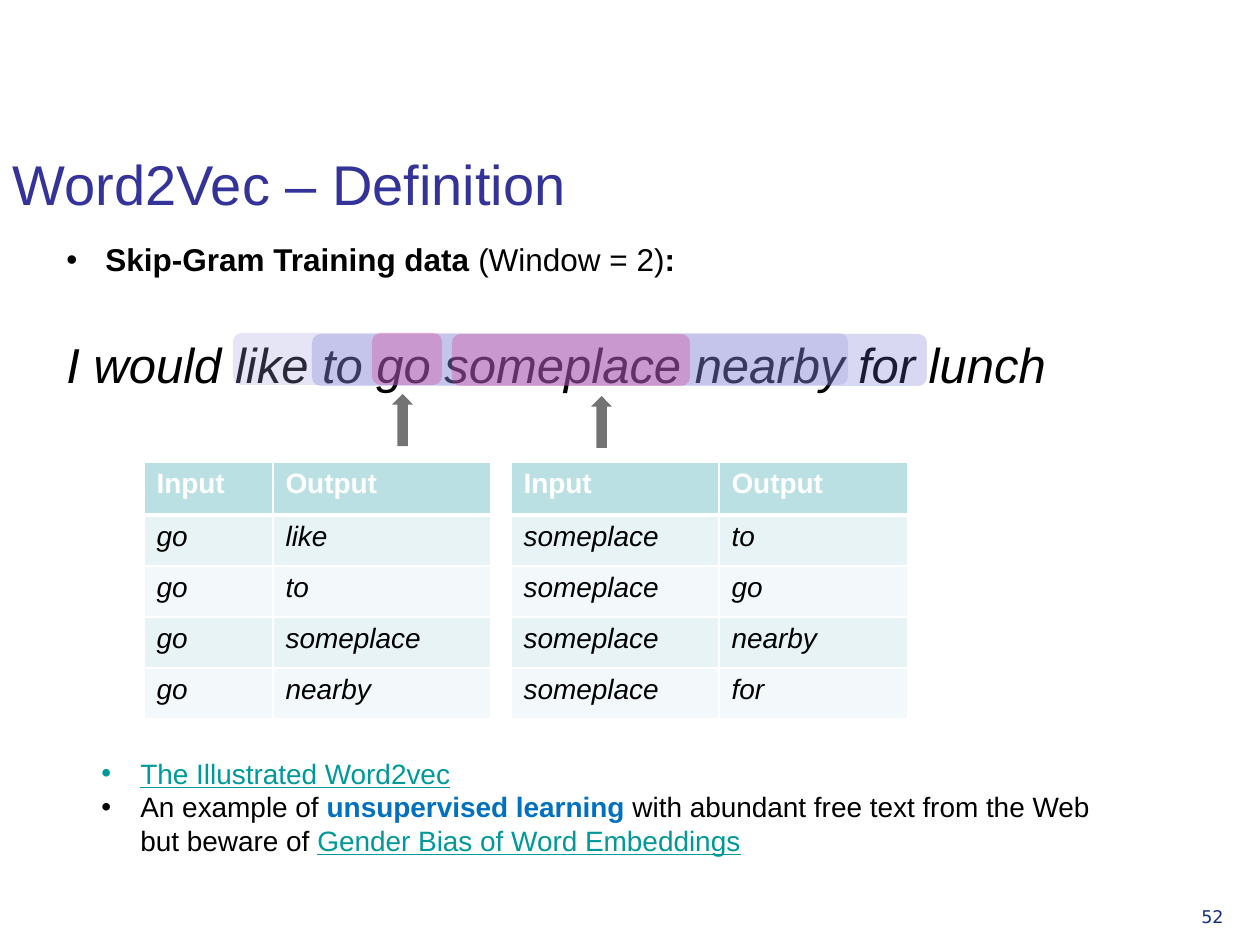
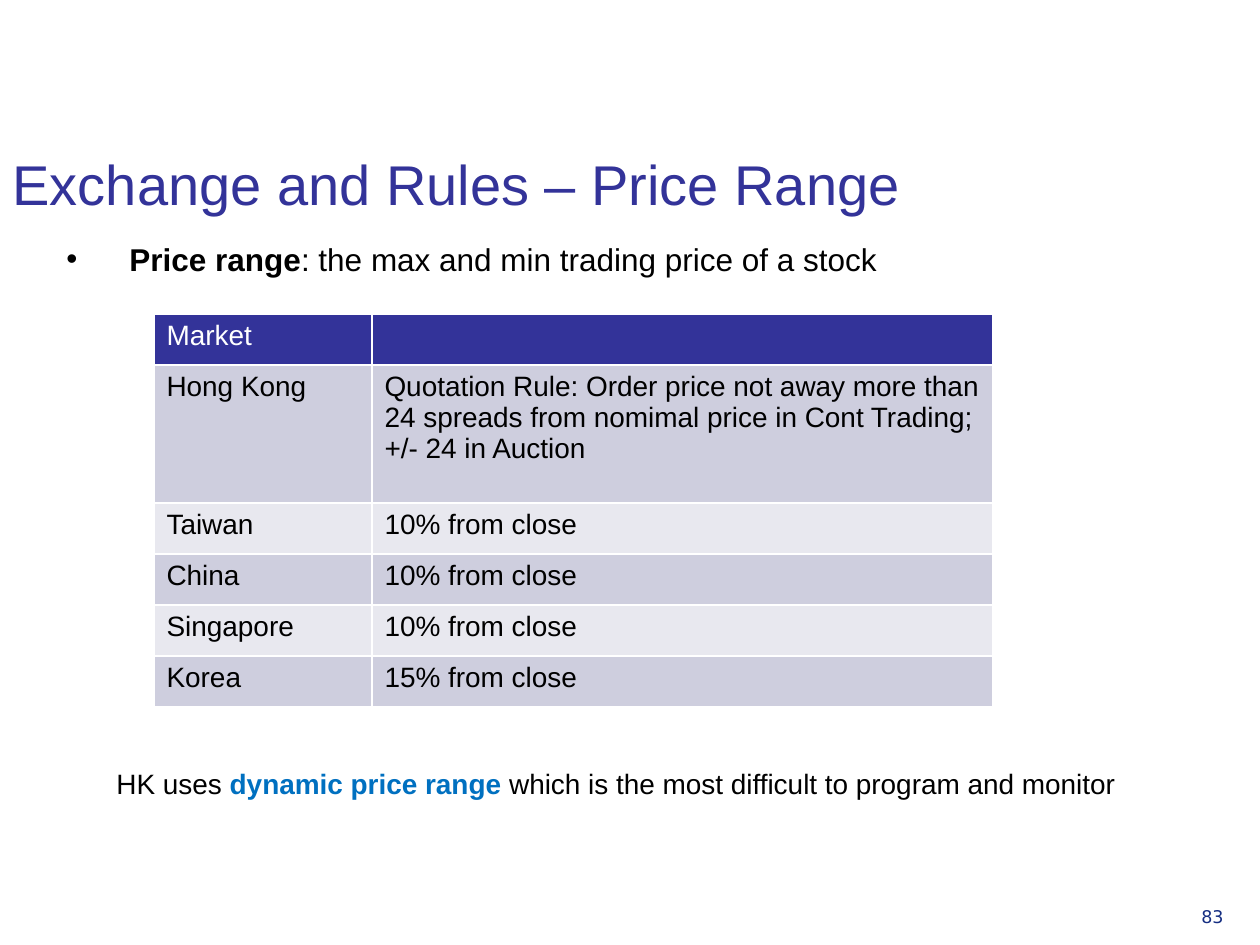
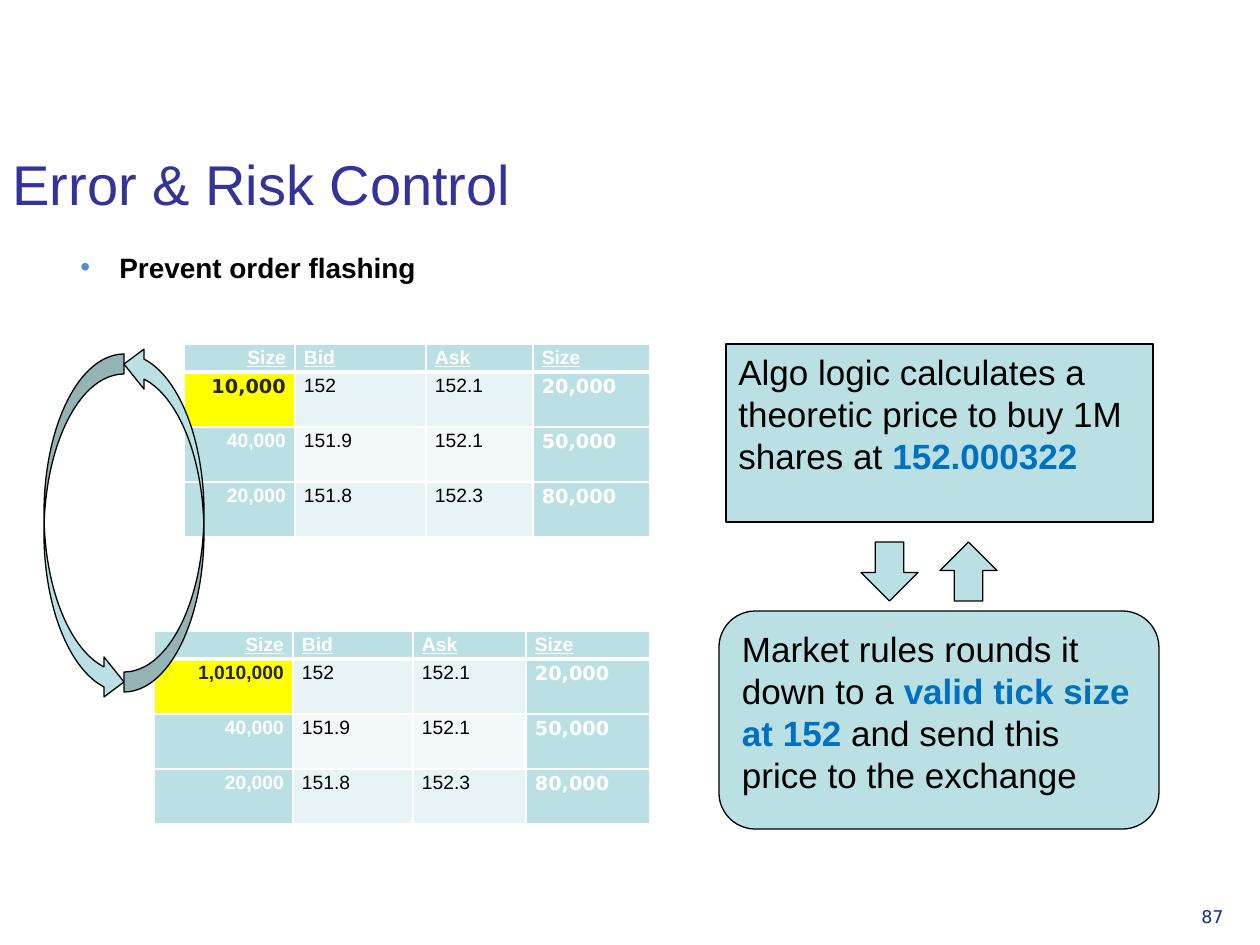
from dataclasses import dataclass
from typing import Callable, Optional

import lxml.etree
import pptx
import pptx.dml.color
import pptx.enum.shapes
import pptx.enum.text
import pptx.oxml.ns
import pptx.util
from pptx.dml.color import RGBColor
from pptx.enum.shapes import MSO_SHAPE
from pptx.enum.text import PP_ALIGN

PX_PER_INCH = 126
SLIDE_WIDTH, SLIDE_HEIGHT = 1260, 945

SANS = "Arial"
NUMERIC = "DejaVu Sans"

BLACK = RGBColor(0x00, 0x00, 0x00)
WHITE = RGBColor(0xFF, 0xFF, 0xFF)
CHARCOAL = RGBColor(0x26, 0x26, 0x26)
INDIGO = RGBColor(0x33, 0x33, 0x99)
NAVY = RGBColor(0x15, 0x2E, 0x82)
BLUE = RGBColor(0x00, 0x70, 0xC0)
BULLET_BLUE = RGBColor(0x57, 0x8C, 0xDA)
LINK_TEAL = RGBColor(0x00, 0x99, 0x99)
AQUA = RGBColor(0xBB, 0xE0, 0xE3)
AQUA_BANDS = (RGBColor(0xE7, 0xF3, 0xF4), RGBColor(0xF3, 0xF9, 0xFA))
INDIGO_BANDS = (RGBColor(0xCE, 0xCE, 0xDE), RGBColor(0xE8, 0xE8, 0xEF))
YELLOW = RGBColor(0xFF, 0xFF, 0x00)
PINK = RGBColor(0xFF, 0x00, 0x66)
LAVENDER = RGBColor(0x9C, 0x9C, 0xDF)
VIOLET = RGBColor(0x6B, 0x6B, 0xCF)


@dataclass(frozen=True)
class Box:
    left: int
    top: int
    width: int
    height: int


@dataclass(frozen=True)
class Run:
    text: str
    bold: bool = False
    color: RGBColor = BLACK
    underline: bool = False


@dataclass(frozen=True)
class Para:
    runs: tuple[Run, ...]
    size: int
    font: str = SANS
    italic: bool = False
    align: PP_ALIGN = PP_ALIGN.LEFT
    space_before: int = 0
    line_spacing: Optional[float] = None
    hanging: int = 0
    margin: int = 0
    bullet_color: Optional[RGBColor] = None


@dataclass(frozen=True)
class Figure:
    kind: MSO_SHAPE
    box: Box
    fill: RGBColor
    opacity: int = 100
    outlined: bool = False
    rotation: int = 0
    paras: tuple[Para, ...] = ()


@dataclass(frozen=True)
class CellStyle:
    fill: RGBColor
    color: RGBColor = BLACK
    size: int = 16
    font: str = SANS
    bold: bool = False
    italic: bool = False
    underline: bool = False
    align: PP_ALIGN = PP_ALIGN.LEFT
    line_spacing: Optional[float] = None


@dataclass(frozen=True)
class Grid:
    left: int
    top: int
    columns: tuple[int, ...]
    rows: tuple[int, ...]
    texts: tuple[tuple[str, ...], ...]
    header_rule: int = 3
    margins: Optional[tuple[int, int]] = None


def px(length: float) -> pptx.util.Emu:
    return pptx.util.Emu(round(length * 914400 / PX_PER_INCH))


def place(box: Box) -> tuple[pptx.util.Emu, ...]:
    return px(box.left), px(box.top), px(box.width), px(box.height)


def sub(parent, tag: str, **attributes: str):
    return lxml.etree.SubElement(parent, pptx.oxml.ns.qn(tag), **attributes)


def add_bullet(paragraph, para: Para) -> None:
    properties = paragraph._p.get_or_add_pPr()
    properties.set("marL", str(px(para.margin)))
    properties.set("indent", str(-px(para.hanging)))
    if para.bullet_color is not None:
        sub(sub(properties, "a:buClr"), "a:srgbClr", val=str(para.bullet_color))
    sub(properties, "a:buFont", typeface=SANS)
    sub(properties, "a:buChar", char="•")


def write(frame, paras: tuple[Para, ...]) -> None:
    """Fill a text frame, starting with its first, empty paragraph."""
    for index, para in enumerate(paras):
        paragraph = frame.add_paragraph() if index else frame.paragraphs[0]
        if para.hanging:
            add_bullet(paragraph, para)
        paragraph.alignment = para.align
        if para.space_before:
            paragraph.space_before = pptx.util.Pt(para.space_before)
        if para.line_spacing:
            paragraph.line_spacing = para.line_spacing
        paragraph.font.size = pptx.util.Pt(para.size)
        paragraph.font.name = para.font
        paragraph.font.italic = para.italic
        for part in para.runs:
            run = paragraph.add_run()
            run.text = part.text
            run.font.bold = part.bold
            run.font.color.rgb = part.color
            if part.underline:
                run.font.underline = True


def add_text(slide, box: Box, *paras: Para) -> None:
    frame = slide.shapes.add_textbox(*place(box)).text_frame
    frame.word_wrap = True
    write(frame, paras)


def add_figure(slide, figure: Figure) -> None:
    shape = slide.shapes.add_shape(figure.kind, *place(figure.box))
    shape.shadow.inherit = False
    shape.rotation = figure.rotation
    shape.fill.solid()
    shape.fill.fore_color.rgb = figure.fill
    if figure.opacity < 100:
        color = shape._element.spPr.find(".//" + pptx.oxml.ns.qn("a:srgbClr"))
        sub(color, "a:alpha", val=str(figure.opacity * 1000))
    if figure.outlined:
        shape.line.color.rgb = BLACK
        shape.line.width = pptx.util.Pt(0.75)
    else:
        shape.line.fill.background()
    if figure.paras:
        shape.text_frame.word_wrap = True
        shape.text_frame.vertical_anchor = pptx.enum.text.MSO_ANCHOR.TOP
        write(shape.text_frame, figure.paras)


def add_borders(cell, top: int, bottom: int) -> None:
    properties = cell._tc.get_or_add_tcPr()
    for side, points in (("L", 1), ("R", 1), ("T", top), ("B", bottom)):
        line = sub(properties, f"a:ln{side}", w=str(pptx.util.Pt(points)))
        sub(sub(line, "a:solidFill"), "a:srgbClr", val=str(WHITE))


def add_grid(slide, grid: Grid, style_of: Callable[[int, int], CellStyle]) -> None:
    box = Box(grid.left, grid.top, sum(grid.columns), sum(grid.rows))
    table = slide.shapes.add_table(
        len(grid.rows), len(grid.columns), *place(box)).table
    table.first_row = False
    table.horz_banding = False
    for column, width in zip(table.columns, grid.columns):
        column.width = px(width)
    for row, height in zip(table.rows, grid.rows):
        row.height = px(height)
    for r, texts in enumerate(grid.texts):
        for c, text in enumerate(texts):
            cell, style = table.cell(r, c), style_of(r, c)
            add_borders(cell, grid.header_rule if r == 1 else 1,
                        grid.header_rule if r == 0 else 1)
            cell.fill.solid()
            cell.fill.fore_color.rgb = style.fill
            if grid.margins:
                side, end = grid.margins
                cell.margin_left = cell.margin_right = px(side)
                cell.margin_top = cell.margin_bottom = px(end)
            run = Run(text, style.bold, style.color, style.underline)
            write(cell.text_frame, (Para(
                (run,) if text else (), style.size, style.font, style.italic,
                style.align, line_spacing=style.line_spacing),))


def training_style(row: int, column: int) -> CellStyle:
    if row == 0:
        return CellStyle(AQUA, WHITE, bold=True)
    return CellStyle(AQUA_BANDS[(row - 1) % 2], italic=True)


def market_style(row: int, column: int) -> CellStyle:
    if row == 0:
        return CellStyle(INDIGO, WHITE)
    return CellStyle(INDIGO_BANDS[(row - 1) % 2])


def order_book_style(row: int, column: int, changed_font: str) -> CellStyle:
    """Style sizes in the outer columns, prices between, and the changed size."""
    fill, color, font, bold = AQUA, WHITE, SANS, True
    if row > 0:
        if column in (1, 2):
            fill, color, bold = AQUA_BANDS[(row - 1) % 2], BLACK, False
        elif column == 3:
            font = NUMERIC
        elif row == 1:
            fill, color, font = YELLOW, CHARCOAL, changed_font
    return CellStyle(fill, color, 11, font, bold, underline=row == 0,
                     align=PP_ALIGN.LEFT if column else PP_ALIGN.RIGHT,
                     line_spacing=1.15)


def add_titled_slide(presentation, heading: str, number: int):
    slide = presentation.slides.add_slide(presentation.slide_layouts[5])
    title = slide.shapes.title
    title.left, title.top, title.width, title.height = place(
        Box(0, 86, 1113, 137))
    frame = title.text_frame
    frame.word_wrap = True
    frame.auto_size = pptx.enum.text.MSO_AUTO_SIZE.NONE
    frame.vertical_anchor = pptx.enum.text.MSO_ANCHOR.BOTTOM
    write(frame, (Para((Run(heading, color=INDIGO),), 32),))
    add_text(slide, Box(1189, 900, 69, 49),
             Para((Run(str(number), color=NAVY),), 10, NUMERIC))
    return slide


def build_word2vec(presentation) -> None:
    slide = add_titled_slide(presentation, "Word2Vec – Definition", 52)
    add_text(
        slide, Box(54, 234, 1150, 248),
        Para((Run("Skip-Gram Training data ", True), Run("(Window = 2)"),
              Run(":", True)), 18, hanging=39, margin=39),
        Para((Run("I would like to go someplace nearby for lunch"),), 28,
             italic=True, space_before=32))

    def highlight(left: int, top: int, width: int, color: RGBColor) -> None:
        add_figure(slide, Figure(MSO_SHAPE.ROUNDED_RECTANGLE,
                                 Box(left, top, width, 52), color, 26))

    highlight(233, 333, 615, LAVENDER)
    highlight(372, 333, 70, PINK)
    highlight(452, 334, 238, PINK)
    highlight(312, 334, 615, VIOLET)
    for left, top in ((392, 394), (591, 396)):
        add_figure(slide, Figure(MSO_SHAPE.DOWN_ARROW, Box(left, top, 21, 52),
                                 BLACK, 55, rotation=180))

    for left, columns, word, context in (
            (144, (129, 218), "go", ("like", "to", "someplace", "nearby")),
            (511, (208, 189), "someplace", ("to", "go", "nearby", "for"))):
        pairs = tuple((word, neighbour) for neighbour in context)
        add_grid(slide, Grid(left, 462, columns, (53,) + (51,) * 4,
                             (("Input", "Output"),) + pairs), training_style)

    add_text(
        slide, Box(89, 750, 1027, 115),
        Para((Run("The Illustrated Word2vec", color=LINK_TEAL,
                  underline=True),), 16, hanging=39, margin=39),
        Para((Run("An example of "), Run("unsupervised learning ", True, BLUE),
              Run("with abundant free text from the Web but beware of "),
              Run("Gender Bias of Word Embeddings", color=LINK_TEAL,
                  underline=True)), 16, hanging=39, margin=39))


def build_price_range(presentation) -> None:
    slide = add_titled_slide(
        presentation, "Exchange and Rules – Price Range", 83)
    add_text(slide, Box(54, 234, 1191, 60),
             Para((Run("Price range", True),
                   Run(": the max and min trading price of a stock")), 18,
                  hanging=63, margin=63))
    markets = (
        ("Market", ""),
        ("Hong Kong", "Quotation Rule: Order price not away more than 24 "
                      "spreads from nomimal price in Cont Trading; "
                      "+/- 24 in Auction"),
        ("Taiwan", "10% from close"),
        ("China", "10% from close"),
        ("Singapore", "10% from close"),
        ("Korea", "15% from close"),
    )
    add_grid(slide, Grid(154, 314, (218, 621), (51, 138) + (51,) * 4, markets,
                         header_rule=1), market_style)
    add_text(slide, Box(104, 760, 1037, 47),
             Para((Run("HK uses "), Run("dynamic price range ", True, BLUE),
                   Run("which is the most difficult to program and monitor")),
                  16))


def build_risk_control(presentation) -> None:
    slide = add_titled_slide(presentation, "Error & Risk Control", 87)
    add_text(slide, Box(5, 244, 566, 59),
             Para((Run("Prevent order flashing", True),), 16, hanging=39,
                  margin=102, bullet_color=BULLET_BLUE))

    for left, top, columns, changed_size, changed_font in (
            (184, 344, (111, 131, 107, 117), "10,000", NUMERIC),
            (154, 631, (139, 120, 113, 124), "1,010,000", SANS)):
        orders = (
            ("Size", "Bid", "Ask", "Size"),
            (changed_size, "152", "152.1", "20,000"),
            ("40,000", "151.9", "152.1", "50,000"),
            ("20,000", "151.8", "152.3", "80,000"),
        )
        add_grid(slide, Grid(left, top, columns, (28, 55, 55, 55), orders,
                             margins=(9, 0)),
                 lambda row, column: order_book_style(row, column, changed_font))

    calculation = Para((
        Run("Algo logic calculates a theoretic price to buy 1M shares at "),
        Run("152.000322", True, BLUE)), 20)
    rounding = Para((
        Run("Market rules rounds it down to a "),
        Run("valid tick size at 152 ", True, BLUE),
        Run("and send this price to the exchange")), 20)
    for kind, box, rotation, paras in (
            (MSO_SHAPE.CURVED_RIGHT_ARROW, Box(44, 354, 80, 348), 0, ()),
            (MSO_SHAPE.CURVED_RIGHT_ARROW, Box(124, 344, 80, 348), 180, ()),
            (MSO_SHAPE.RECTANGLE, Box(726, 344, 427, 178), 0, (calculation,)),
            (MSO_SHAPE.FLOWCHART_ALTERNATE_PROCESS, Box(719, 611, 440, 218), 0,
             (rounding,)),
            (MSO_SHAPE.DOWN_ARROW, Box(861, 542, 57, 59), 0, ()),
            (MSO_SHAPE.DOWN_ARROW, Box(940, 542, 57, 59), 180, ())):
        add_figure(slide, Figure(kind, box, AQUA, outlined=True,
                                 rotation=rotation, paras=paras))


def main() -> None:
    presentation = pptx.Presentation()
    presentation.slide_width = px(SLIDE_WIDTH)
    presentation.slide_height = px(SLIDE_HEIGHT)
    build_word2vec(presentation)
    build_price_range(presentation)
    build_risk_control(presentation)
    presentation.save("out.pptx")


if __name__ == "__main__":
    main()
